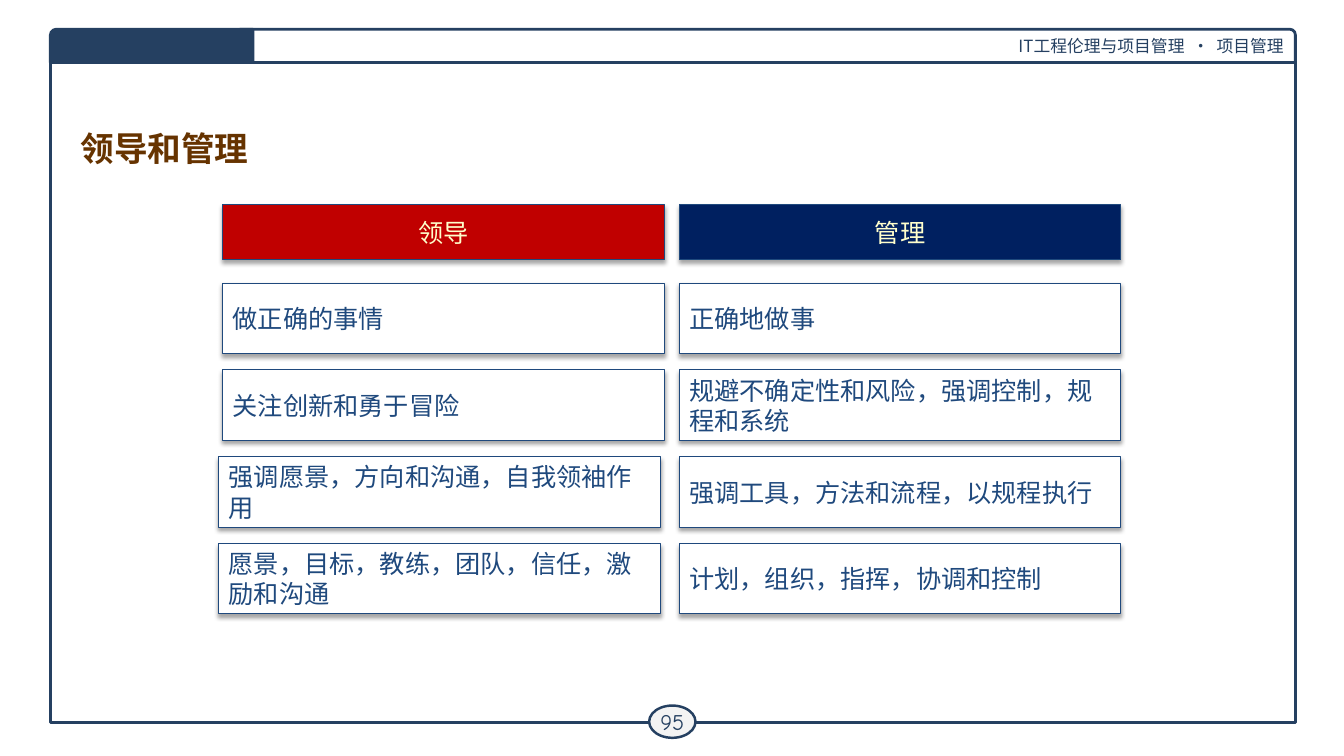
from lxml import etree
from pptx import Presentation
from pptx import util as u
from pptx.dml.color import RGBColor
from pptx.enum import shapes, text
from pptx.oxml import ns

NAVY = RGBColor(0x25, 0x40, 0x61)
BLUE = RGBColor(0x1F, 0x49, 0x7D)
DEEP_BLUE = RGBColor(0x00, 0x20, 0x60)
RED = RGBColor(0xC0, 0x00, 0x00)
CREAM = RGBColor(0xFF, 0xFF, 0xCC)
BROWN = RGBColor(0x66, 0x33, 0x00)
PALE = RGBColor(0xF3, 0xF3, 0xF3)
WHITE = RGBColor(0xFF, 0xFF, 0xFF)

WIDTH, HEIGHT = u.Inches(13.33), u.Inches(7.5)
CJK = "Noto Sans CJK SC"
SHAPE = shapes.MSO_SHAPE
ALIGN = text.PP_ALIGN

LEFT, LEFT_SHIFTED, RIGHT = 16.58, 16.28, 50.55
COLUMN_WIDTH = 32.85
HEAD_TOP, HEAD_HEIGHT = 27.07, 7.33
FIRST_ROW, ROW_STEP, ROW_HEIGHT = 37.47, 11.47, 9.33
ROWS = [
    (LEFT, "做正确的事情", "正确地做事"),
    (LEFT, "关注创新和勇于冒险", "规避不确定性和风险，强调控制，规程和系统"),
    (LEFT_SHIFTED, "强调愿景，方向和沟通，自我领袖作用", "强调工具，方法和流程，以规程执行"),
    (LEFT_SHIFTED, "愿景，目标，教练，团队，信任，激励和沟通", "计划，组织，指挥，协调和控制"),
]


def share(left, top, width, height):
    return [int(part * whole / 100) for part, whole in
            zip((left, top, width, height), (WIDTH, HEIGHT, WIDTH, HEIGHT))]


def add_panel(page, kind, area, fill, line, weight):
    panel = page.shapes.add_shape(kind, *share(*area))
    panel.shadow.inherit = False
    if fill is None:
        panel.fill.background()
    else:
        panel.fill.solid()
        panel.fill.fore_color.rgb = fill
    panel.line.color.rgb = line
    panel.line.width = u.Pt(weight)
    return panel


def write(box, words, size, color, align=ALIGN.LEFT, font=CJK, bold=False):
    para = box.text_frame.paragraphs[0]
    para.text = words
    para.alignment = align
    para.font.size = u.Pt(size)
    para.font.bold = bold
    para.font.color.rgb = color
    para.font.name = font
    properties = para._p.pPr.find(ns.qn("a:defRPr"))
    etree.SubElement(properties, ns.qn("a:ea"), typeface=CJK)


def add_shadow(panel):
    effects = panel._element.spPr.find(ns.qn("a:effectLst"))
    shadow = etree.SubElement(
        effects, ns.qn("a:outerShdw"), blurRad=str(u.Pt(3.1)),
        dist=str(u.Pt(1.8)), dir="5400000", rotWithShape="0")
    color = etree.SubElement(shadow, ns.qn("a:srgbClr"), val="000000")
    etree.SubElement(color, ns.qn("a:alpha"), val="35000")


def add_cell(page, left, top, height, words, fill=WHITE, color=BLUE, align=ALIGN.LEFT):
    cell = add_panel(page, SHAPE.RECTANGLE, (left, top, COLUMN_WIDTH, height),
                     fill, BLUE, 0.75)
    add_shadow(cell)
    cell.text_frame.vertical_anchor = text.MSO_ANCHOR.MIDDLE
    write(cell, words, 18, color, align)


def add_frame(page):
    add_panel(page, SHAPE.RECTANGLE, (3.75, 6.67, 92.63, 88.93), None, NAVY, 2)

    banner = add_panel(page, SHAPE.ROUND_1_RECTANGLE, (17.85, 3.87, 78.53, 4.4),
                       WHITE, NAVY, 2)
    write(banner, "IT工程伦理与项目管理  ·  项目管理", 12, NAVY, ALIGN.RIGHT)

    badge = add_panel(page, SHAPE.OVAL, (48.3, 93.33, 3.45, 4.27), PALE, NAVY, 1.75)
    frame = badge.text_frame
    frame.word_wrap = False
    frame.margin_left = frame.margin_right = u.Inches(0.04)
    frame.margin_top = frame.margin_bottom = u.Inches(0.04)
    write(badge, "95", 16, NAVY, ALIGN.CENTER, "Comic Neue")

    tab = add_panel(page, SHAPE.ROUND_1_RECTANGLE, (3.75, 3.87, 15.08, 4.4),
                    NAVY, NAVY, 2)
    tab.adjustments[0] = 0.18
    tab._element.spPr.xfrm.set("flipH", "1")


def add_title(page, words):
    title = page.shapes.add_textbox(*share(5.25, 16.27, 90, 6.4))
    title.text_frame.word_wrap = True
    write(title, words, 24, BROWN, font="Cambria", bold=True)


def add_comparison(page):
    for left, words, fill in ((LEFT, "领导", RED), (RIGHT, "管理", DEEP_BLUE)):
        add_cell(page, left, HEAD_TOP, HEAD_HEIGHT, words, fill, CREAM, ALIGN.CENTER)
    for index, (left, leading, managing) in enumerate(ROWS):
        top = FIRST_ROW + index * ROW_STEP
        add_cell(page, left, top, ROW_HEIGHT, leading)
        add_cell(page, RIGHT, top, ROW_HEIGHT, managing)


def main():
    deck = Presentation()
    deck.slide_width, deck.slide_height = WIDTH, HEIGHT
    page = deck.slides.add_slide(deck.slide_layouts[6])
    add_frame(page)
    add_title(page, "领导和管理")
    add_comparison(page)
    deck.save("out.pptx")


if __name__ == "__main__":
    main()
